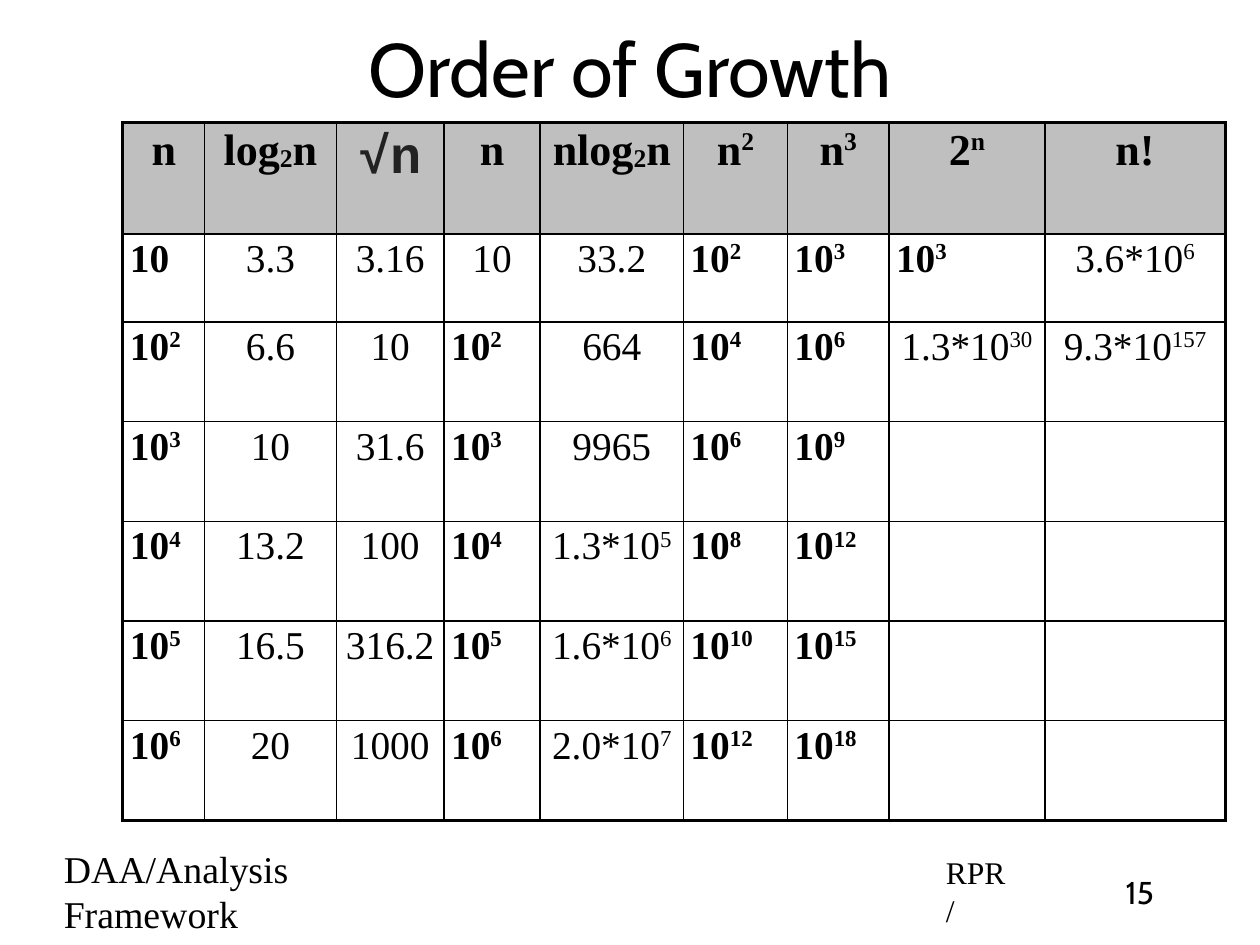
from lxml import etree
from pptx import Presentation
from pptx.dml.color import RGBColor
from pptx.enum.text import MSO_ANCHOR, PP_ALIGN
from pptx.oxml.ns import qn
from pptx.util import Pt

BLACK = RGBColor(0x00, 0x00, 0x00)
CHARCOAL = RGBColor(0x22, 0x22, 0x22)
HEADER_GRAY = RGBColor(0xBF, 0xBF, 0xBF)
LEFT, CENTER = PP_ALIGN.LEFT, PP_ALIGN.CENTER
TOP, MIDDLE = MSO_ANCHOR.TOP, MSO_ANCHOR.MIDDLE
SERIF, SANS, MONO = "Times New Roman", "Cabin", "Courier New"
INSET = 4.5
THIN, THICK = 1, 2.25

# "^" starts a superscript; "_" switches a subscript on and off.
BASELINES = {"^": "32000", "_": "-6000"}
HEADERS = ["n", "log_2_n", "√n", "n", "nlog_2_n", "n^2", "n^3", "2^n", "n!"]
ROWS = [
    ["10", "3.3", "3.16", "10", "33.2", "10^2", "10^3", "10^3", "3.6*10^6"],
    ["10^2", "6.6", "10", "10^2", "664", "10^4", "10^6", "1.3*10^30", "9.3*10^157"],
    ["10^3", "10", "31.6", "10^3", "9965", "10^6", "10^9", "", ""],
    ["10^4", "13.2", "100", "10^4", "1.3*10^5", "10^8", "10^12", "", ""],
    ["10^5", "16.5", "316.2", "10^5", "1.6*10^6", "10^10", "10^15", "", ""],
    ["10^6", "20", "1000", "10^6", "2.0*10^7", "10^12", "10^18", "", ""],
]
COL_SHARES = [52, 83.5, 68.5, 61, 91, 66, 64.5, 99, 114.5]
ROW_SHARES = [70.5, 56] + [63.25] * 5


def style_paragraph(p, font, size, color=BLACK, align=LEFT, bold=False):
    """Set the alignment and the font of a whole paragraph."""
    p.alignment = align
    p.font.name, p.font.size, p.font.bold = font, Pt(size), bold
    p.font.color.rgb = color


def add_text(slide, box, text, font, size, align=LEFT, anchor=MIDDLE, side=INSET):
    """Add one wrapped paragraph in the box, with the given side insets."""
    sp = slide.shapes.add_textbox(*map(Pt, box))
    tf = sp.text_frame
    tf.word_wrap, tf.vertical_anchor = True, anchor
    tf.margin_left = tf.margin_right = Pt(side)
    tf.margin_top = tf.margin_bottom = Pt(INSET)
    p = tf.paragraphs[0]
    p.text = text
    style_paragraph(p, font, size, align=align)


def add_marked_runs(p, text):
    """Split marked text into normal and raised or lowered runs."""
    mark = "_" if "_" in text else "^"
    for i, part in enumerate(text.split(mark)):
        r = p.add_run()
        r.text = part
        if i % 2:
            r._r.get_or_add_rPr().set("baseline", BASELINES[mark])


def set_borders(cell, widths):
    """Draw black cell borders; widths maps a side (L, R, T, B) to points."""
    tcPr = cell._tc.get_or_add_tcPr()
    for side, width in widths.items():
        ln = etree.SubElement(tcPr, qn(f"a:ln{side}"), w=str(Pt(width)))
        fill = etree.SubElement(ln, qn("a:solidFill"))
        etree.SubElement(fill, qn("a:srgbClr"), val=str(BLACK))


def fill_cell(cell, text, is_header, is_first):
    """Write and shade one cell; powers of ten and the first column are bold."""
    cell.margin_left = cell.margin_right = Pt(INSET)
    cell.margin_top = cell.margin_bottom = Pt(INSET)
    cell.vertical_anchor = TOP
    if is_header:
        cell.fill.solid()
        cell.fill.fore_color.rgb = HEADER_GRAY
    else:
        cell.fill.background()
    if not text:
        return
    p = cell.text_frame.paragraphs[0]
    add_marked_runs(p, text)
    if text.startswith("√"):
        style_paragraph(p, MONO, 33, CHARCOAL, CENTER, True)
        return
    p.line_spacing, p.space_before = 0.9, Pt(7)
    key = is_first or text.startswith("10^")
    align = LEFT if key and not is_header else CENTER
    style_paragraph(p, SERIF, 28 if is_header else 25, BLACK, align, is_header or key)


def add_growth_table(slide, box):
    """Fill the box with the table of growth rates, thick along the outside."""
    rows = [HEADERS] + ROWS
    last_row, last_col = len(rows) - 1, len(HEADERS) - 1
    table = slide.shapes.add_table(len(rows), len(HEADERS), *map(Pt, box)).table
    table.first_row = table.horz_banding = False
    for col, share in zip(table.columns, COL_SHARES):
        col.width = Pt(box[2] * share / sum(COL_SHARES))
    for row, share in zip(table.rows, ROW_SHARES):
        row.height = Pt(box[3] * share / sum(ROW_SHARES))
    for i, row in enumerate(rows):
        for j, text in enumerate(row):
            cell = table.cell(i, j)
            outer = {"L": j == 0, "R": j == last_col, "T": i == 0, "B": i == last_row}
            set_borders(cell, {s: THICK if o else THIN for s, o in outer.items()})
            fill_cell(cell, text, i == 0, j == 0)


def add_footer(slide, box):
    """Place the course name, author and page number along the footer box."""
    x, y, w, h = box
    add_text(slide, (x, y, 271.5, h), "DAA/Analysis Framework", SERIF, 24, side=7.5)
    add_text(slide, (x + 560, y, 55.5, h), "RPR/", SERIF, 20, side=7.5)
    add_text(slide, (x + w - 47.5, y + 1.5, 47.5, h), "15", SANS, 20, CENTER, TOP)


def build_slide(prs):
    """Build the Order of Growth slide."""
    slide = prs.slides.add_slide(prs.slide_layouts[6])
    add_text(slide, (60, 5, 680, 75), "Order of Growth", SANS, 48, CENTER)
    add_growth_table(slide, (78, 78, 700, 443))
    add_footer(slide, (33, 548.5, 714.5, 34))


prs = Presentation()
prs.slide_width, prs.slide_height = Pt(800), Pt(600)
build_slide(prs)
prs.save("out.pptx")
